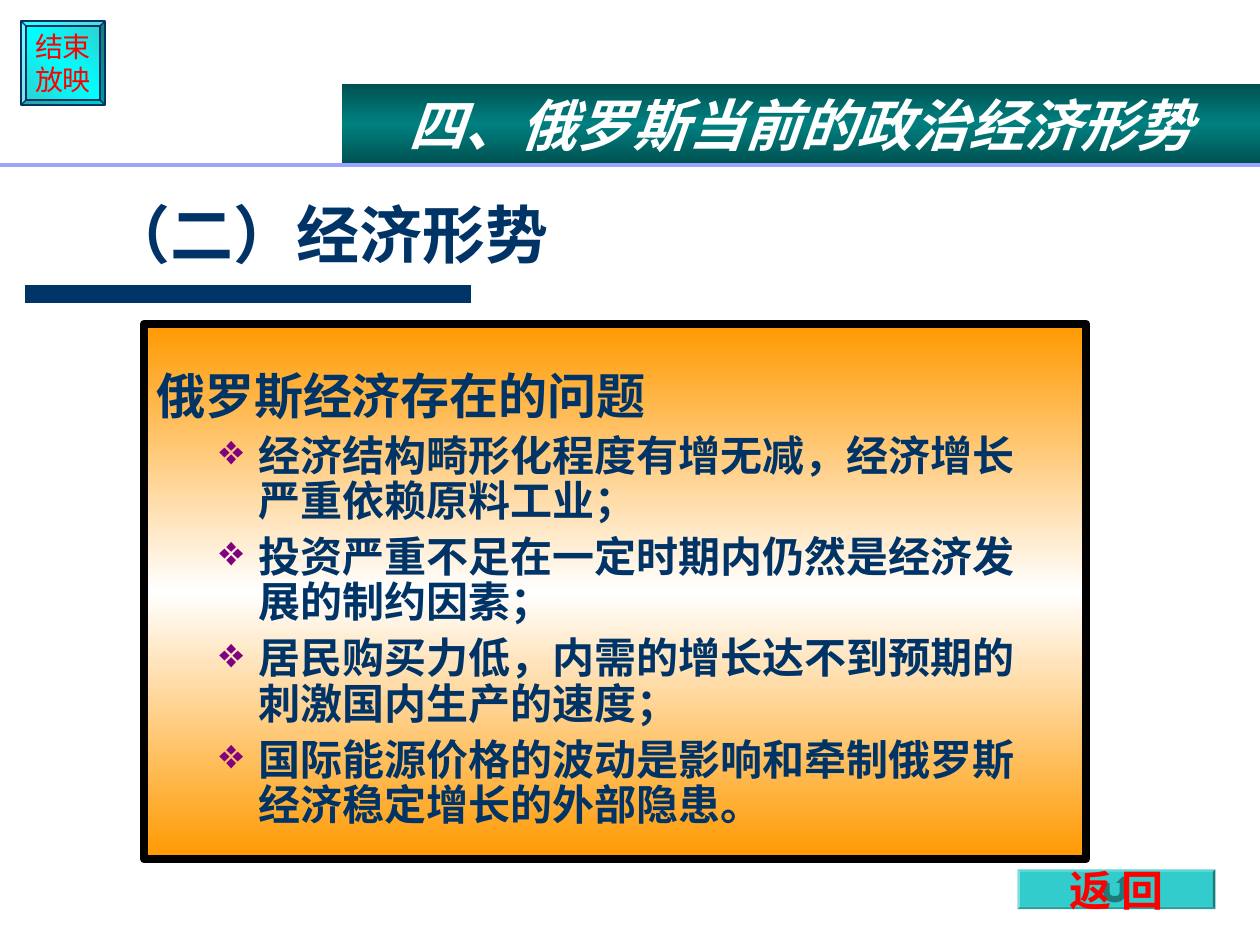
"""Build the slide on the problems of the Russian economy."""
from copy import deepcopy
from dataclasses import dataclass
from typing import Optional

from lxml import etree
from pptx import Presentation
from pptx.dml.color import RGBColor
from pptx.enum import shapes, text
from pptx.oxml import ns
from pptx.util import Pt


@dataclass(frozen=True)
class Theme:
    navy: str = "003366"
    red: str = "FF0000"
    white: str = "FFFFFF"
    black: str = "000000"
    purple: str = "800080"
    lavender: str = "9BA4FD"
    turquoise: str = "33CCCC"
    cyan: str = "00FFFF"
    orange: str = "FF9900"
    teal: str = "008080"
    dark_teal: str = "005151"
    latin: str = "Arial"
    chinese: str = "Noto Sans CJK SC"
    title_size: float = 36
    banner_size: float = 32
    heading_size: float = 28
    bullet_size: float = 24
    return_size: float = 24
    end_size: float = 16


THEME = Theme()


@dataclass(frozen=True)
class Box:
    left: float
    top: float
    width: float
    height: float


@dataclass(frozen=True)
class Style:
    size: float
    color: str
    font: str = THEME.chinese
    bold: bool = True
    italic: bool = False


@dataclass(frozen=True)
class Gradient:
    edge: str
    middle: str
    angle: float


@dataclass(frozen=True)
class Rule:
    left: float
    right: float
    y: float
    color: str
    width: float


@dataclass(frozen=True)
class Item:
    words: str
    size: float
    line: float
    before: float
    margin: float
    hanging: float
    bullet: Optional[str] = None


RULES = [
    Rule(14.4, 269.3, 168, THEME.navy, 10),
    Rule(0, 720, 94.3, THEME.lavender, 1.75),
]
HEADING = Item("俄罗斯经济存在的问题", THEME.heading_size, 30.2, 0, 27, 27)
PROBLEMS = [
    "经济结构畸形化程度有增无减，经济增长严重依赖原料工业；",
    "投资严重不足在一定时期内仍然是经济发展的制约因素；",
    "居民购买力低，内需的增长达不到预期的刺激国内生产的速度；",
    "国际能源价格的波动是影响和牵制俄罗斯经济稳定增长的外部隐患。",
]
ITEMS = [HEADING] + [Item(words, THEME.bullet_size, 25.9, 6, 58.5, 22.5, "❖") for words in PROBLEMS]


def rgb(color: str) -> RGBColor:
    """Turn a hex string into a colour."""
    return RGBColor.from_string(color)


def place(shape, box: Box) -> None:
    """Move and size a shape."""
    shape.left, shape.top = Pt(box.left), Pt(box.top)
    shape.width, shape.height = Pt(box.width), Pt(box.height)


def style_paragraph(paragraph, style: Style, align=text.PP_ALIGN.LEFT) -> None:
    """Format every run of a paragraph."""
    paragraph.alignment = align
    for run in paragraph.runs:
        font = run.font
        font.name, font.size = style.font, Pt(style.size)
        font.bold, font.italic = style.bold, style.italic
        font.color.rgb = rgb(style.color)
        east_asian = etree.SubElement(run._r.get_or_add_rPr(), ns.qn("a:ea"))
        east_asian.set("typeface", THEME.chinese)


def set_frame(frame, anchor, wrap: bool = True, top: float = 3.6, right: float = 7.2, bottom: float = 3.6) -> None:
    """Set anchoring, wrapping and insets."""
    frame.auto_size = text.MSO_AUTO_SIZE.NONE
    frame.word_wrap, frame.vertical_anchor = wrap, anchor
    frame.margin_left, frame.margin_right = Pt(7.2), Pt(right)
    frame.margin_top, frame.margin_bottom = Pt(top), Pt(bottom)


def fill_gradient(shape, gradient: Gradient) -> None:
    """Fill a shape with a symmetric three-stop gradient."""
    shape.fill.gradient()
    shape.fill.gradient_angle = 360 - gradient.angle
    for stop in shape.fill.gradient_stops:
        stop.color.rgb = rgb(gradient.edge)
    first = shape._element.spPr.find(".//" + ns.qn("a:gs"))
    middle = deepcopy(first)
    middle.set("pos", "50000")
    first.addnext(middle)
    shape.fill.gradient_stops[1].color.rgb = rgb(gradient.middle)


def add_shape(slide, kind, box: Box, fill, line: Optional[str] = None, width: float = 0.75):
    """Add a filled preset shape without shadow."""
    shape = slide.shapes.add_shape(kind, Pt(box.left), Pt(box.top), Pt(box.width), Pt(box.height))
    shape.shadow.inherit = False
    if isinstance(fill, Gradient):
        fill_gradient(shape, fill)
    else:
        shape.fill.solid()
        shape.fill.fore_color.rgb = rgb(fill)
    if line:
        shape.line.color.rgb, shape.line.width = rgb(line), Pt(width)
    else:
        shape.line.fill.background()
    return shape


def add_label(shape, words: str, style: Style, wrap: bool = False) -> None:
    """Write centred text in a shape."""
    set_frame(shape.text_frame, text.MSO_ANCHOR.MIDDLE, wrap)
    shape.text_frame.text = words
    for paragraph in shape.text_frame.paragraphs:
        style_paragraph(paragraph, style, text.PP_ALIGN.CENTER)
        if len(shape.text_frame.paragraphs) > 1:
            paragraph.line_spacing = Pt(18.9)


def add_rule(slide, rule: Rule) -> None:
    """Add a horizontal rule."""
    connector = slide.shapes.add_connector(
        shapes.MSO_CONNECTOR.STRAIGHT, Pt(rule.left), Pt(rule.y), Pt(rule.right), Pt(rule.y))
    connector.line.color.rgb, connector.line.width = rgb(rule.color), Pt(rule.width)
    etree.SubElement(connector._element.spPr, ns.qn("a:effectLst"))


def write_item(paragraph, item: Item) -> None:
    """Write one paragraph of the problem panel."""
    paragraph.text = item.words
    properties = paragraph._p.get_or_add_pPr()
    properties.set("marL", str(Pt(item.margin)))
    properties.set("indent", str(-Pt(item.hanging)))
    if item.bullet:
        color = etree.SubElement(properties, ns.qn("a:buClr"))
        etree.SubElement(color, ns.qn("a:srgbClr")).set("val", THEME.purple)
        etree.SubElement(properties, ns.qn("a:buChar")).set("char", item.bullet)
    paragraph.line_spacing, paragraph.space_before = Pt(item.line), Pt(item.before)
    style_paragraph(paragraph, Style(item.size, THEME.navy))


def main() -> None:
    """Build and save the slide."""
    presentation = Presentation()
    presentation.slide_width, presentation.slide_height = Pt(720), Pt(540)
    slide = presentation.slides.add_slide(presentation.slide_layouts[5])
    kinds = shapes.MSO_SHAPE

    title = slide.shapes.title
    place(title, Box(54, 77.8, 612.7, 78.4))
    set_frame(title.text_frame, text.MSO_ANCHOR.BOTTOM, bottom=1.5)
    title.text_frame.text = "（二）经济形势"
    style_paragraph(title.text_frame.paragraphs[0], Style(THEME.title_size, THEME.navy))

    end_button = add_shape(slide, kinds.BEVEL, Box(12, 12, 48, 48),
                           Gradient(THEME.turquoise, THEME.cyan, 135), THEME.navy)
    end_button.adjustments[0] = 0.06
    add_label(end_button, "结束\n放映", Style(THEME.end_size, THEME.red, THEME.latin, False))

    panel = add_shape(slide, kinds.RECTANGLE, Box(82.2, 185.1, 538.5, 305.8),
                      Gradient(THEME.orange, THEME.white, 90), THEME.black, 4.5)
    set_frame(panel.text_frame, text.MSO_ANCHOR.TOP, top=27, right=28)
    for index, item in enumerate(ITEMS):
        frame = panel.text_frame
        write_item(frame.add_paragraph() if index else frame.paragraphs[0], item)

    return_frame = add_shape(slide, kinds.BEVEL, Box(581.3, 496.8, 113.2, 22.8), THEME.turquoise)
    return_frame.adjustments[0] = 0.07
    return_button = add_shape(slide, kinds.ACTION_BUTTON_RETURN, Box(582.8, 498.3, 110.2, 19.8), THEME.turquoise)
    add_label(return_button, "返 回", Style(THEME.return_size, THEME.red, THEME.latin))

    banner = add_shape(slide, kinds.RECTANGLE, Box(195.6, 47.8, 524.4, 45.8),
                       Gradient(THEME.dark_teal, THEME.teal, 90))
    add_label(banner, "四、俄罗斯当前的政治经济形势", Style(THEME.banner_size, THEME.white, italic=True), True)

    for rule in RULES:
        add_rule(slide, rule)
    presentation.save("out.pptx")


if __name__ == "__main__":
    main()
